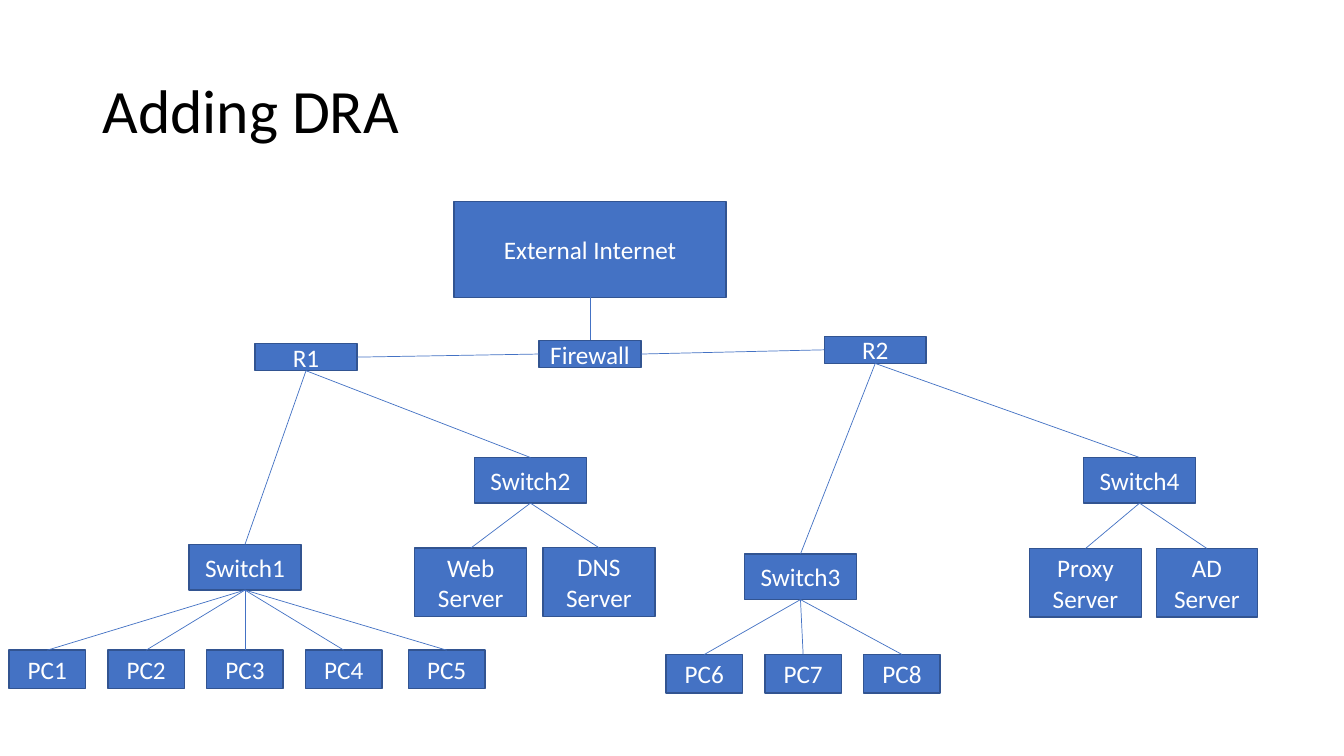
from dataclasses import dataclass

import pptx
import pptx.dml.color
import pptx.enum.shapes
import pptx.enum.text
import pptx.oxml
import pptx.util
from pptx.util import Pt


@dataclass(frozen=True)
class Theme:
    font: str = "Calibri"
    title_size: float = 44
    label_size: float = 18
    title_color: str = "000000"
    label_color: str = "FFFFFF"
    box_fill: str = "4472C4"
    box_line: str = "325491"
    link_color: str = "4472C4"
    box_line_width: float = 1
    link_width: float = 0.5


THEME = Theme()

# Box sizes: width, height
ROUTER = (72.8, 19.4)
SWITCH = (80, 32.6)
SERVER = (80, 49)
PC = (54.6, 27.4)
PC_PITCH = 70.6

# Label: (left, top, size)
DEVICES = {
    "External Internet": (324.3, 144, (194.4, 68.4)),
    "Firewall": (385.1, 243.2, ROUTER),
    "R1": (182.2, 245.4, ROUTER),
    "R2": (588.8, 240.2, ROUTER),
    "Switch1": (135, 388.9, SWITCH),
    "Switch2": (338.9, 326.8, SWITCH),
    "Switch3": (531.8, 395.7, SWITCH),
    "Switch4": (774, 326.8, SWITCH),
    "Web\vServer": (296.3, 391.5, SERVER),
    "DNS\vServer": (387.8, 391.2, SERVER),
    "Proxy\vServer": (735.4, 391.8, SERVER),
    "AD\vServer": (826, 391.8, (72.2, SERVER[1])),
    "PC5": (291.8, 464.4, PC),
}

# First PC number, how many, left, top
PC_ROWS = [(1, 4, 6.5, 464.4), (6, 3, 475.8, 467.5)]

# Connection sites of a rectangle
TOP, LEFT, BOTTOM, RIGHT = range(4)

SIDE_LINKS = [("Firewall", LEFT, "R1", RIGHT), ("Firewall", RIGHT, "R2", LEFT)]
CHILDREN = {
    "External Internet": ["Firewall"],
    "R1": ["Switch1", "Switch2"],
    "R2": ["Switch3", "Switch4"],
    "Switch1": ["PC1", "PC2", "PC3", "PC4", "PC5"],
    "Switch2": ["Web\vServer", "DNS\vServer"],
    "Switch3": ["PC6", "PC7", "PC8"],
    "Switch4": ["Proxy\vServer", "AD\vServer"],
}


def rgb(value):
    return pptx.dml.color.RGBColor.from_string(value)


def write_text(sp, text, *, size, color, align, spacing=1.0):
    tf = sp.text_frame
    tf.word_wrap = True
    tf.auto_size = pptx.enum.text.MSO_AUTO_SIZE.NONE
    tf.vertical_anchor = pptx.enum.text.MSO_ANCHOR.MIDDLE
    p = tf.paragraphs[0]
    p.text = text
    p.alignment = align
    p.line_spacing = spacing
    for r in p.runs:
        r.font.name = THEME.font
        r.font.size = Pt(size)
        r.font.color.rgb = rgb(color)


def set_title(slide, text):
    sp = slide.shapes.title
    sp.left, sp.top, sp.width, sp.height = Pt(66), Pt(28.8), Pt(828), Pt(104.4)
    write_text(sp, text, size=THEME.title_size, color=THEME.title_color,
               align=pptx.enum.text.PP_ALIGN.LEFT, spacing=0.9)


def add_device(slide, label, left, top, size):
    width, height = size
    sp = slide.shapes.add_shape(pptx.enum.shapes.MSO_SHAPE.RECTANGLE,
                                Pt(left), Pt(top), Pt(width), Pt(height))
    sp.shadow.inherit = False
    sp.fill.solid()
    sp.fill.fore_color.rgb = rgb(THEME.box_fill)
    sp.line.color.rgb = rgb(THEME.box_line)
    sp.line.width = Pt(THEME.box_line_width)
    write_text(sp, label, size=THEME.label_size, color=THEME.label_color,
               align=pptx.enum.text.PP_ALIGN.CENTER)
    return sp


def add_link(slide, start, start_site, end, end_site):
    """Glue a straight line to one connection site of each box."""
    line = slide.shapes.add_connector(
        pptx.enum.shapes.MSO_CONNECTOR.STRAIGHT, 0, 0, 0, 0)
    line.begin_connect(start, start_site)
    line.end_connect(end, end_site)
    line.line.color.rgb = rgb(THEME.link_color)
    line.line.width = Pt(THEME.link_width)
    line._element.spPr.append(pptx.oxml.parse_xml(
        '<a:effectLst xmlns:a='
        '"http://schemas.openxmlformats.org/drawingml/2006/main"/>'))


def main():
    prs = pptx.Presentation()
    prs.slide_width, prs.slide_height = Pt(960), Pt(540)
    slide = prs.slides.add_slide(prs.slide_layouts.get_by_name("Title Only"))
    set_title(slide, "Adding DRA")

    boxes = {label: add_device(slide, label, *place)
             for label, place in DEVICES.items()}
    for first, count, left, top in PC_ROWS:
        for i in range(count):
            label = f"PC{first + i}"
            boxes[label] = add_device(slide, label, left + i * PC_PITCH, top, PC)

    for start, start_site, end, end_site in SIDE_LINKS:
        add_link(slide, boxes[start], start_site, boxes[end], end_site)
    for parent, children in CHILDREN.items():
        for child in children:
            add_link(slide, boxes[parent], BOTTOM, boxes[child], TOP)

    prs.save("out.pptx")


if __name__ == "__main__":
    main()
